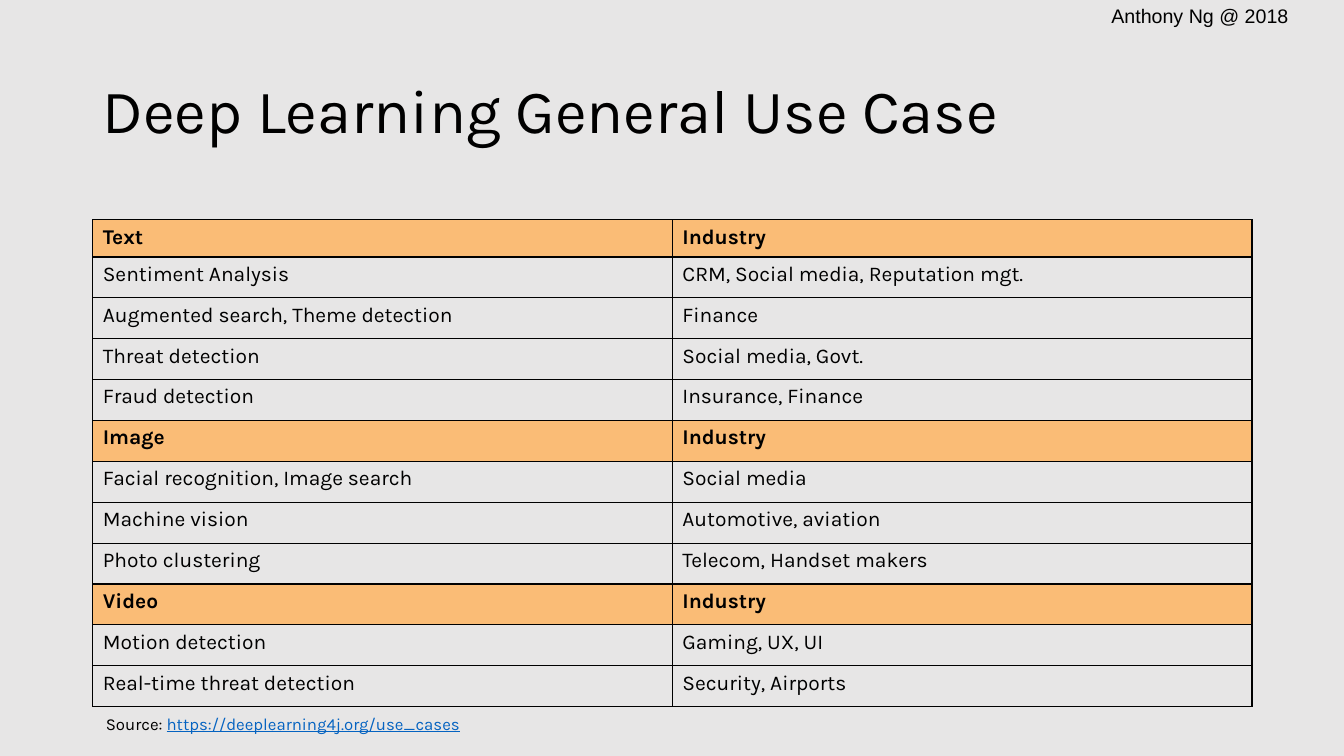
import dataclasses
import typing

import lxml.etree
import pptx
import pptx.dml.color
import pptx.enum.text
import pptx.oxml.ns
import pptx.util

Pt = pptx.util.Pt
RGB = pptx.dml.color.RGBColor
Anchor = pptx.enum.text.MSO_ANCHOR
Align = pptx.enum.text.PP_ALIGN
AutoSize = pptx.enum.text.MSO_AUTO_SIZE


@dataclasses.dataclass(frozen=True)
class Theme:
    background: str = "E7E6E6"
    header: str = "FABC76"
    text: str = "000000"
    link: str = "0563C1"
    font: str = "Karla"
    credit_font: str = "Arial"
    title_size: float = 44
    credit_size: float = 14
    cell_size: float = 15
    source_size: float = 12
    border: float = 1


@dataclasses.dataclass(frozen=True)
class Run:
    text: str
    size: float
    font: str
    color: str
    style: dict[str, bool] = dataclasses.field(default_factory=dict)


@dataclasses.dataclass(frozen=True)
class TextBox:
    left: float
    top: float
    width: float
    height: float
    runs: tuple[Run, ...]
    frame: dict[str, typing.Any] = dataclasses.field(default_factory=dict)
    paragraph: dict[str, typing.Any] = dataclasses.field(default_factory=dict)


@dataclasses.dataclass(frozen=True)
class Section:
    name: str
    uses: tuple[tuple[str, str], ...]


THEME = Theme()
LEFT, WIDTH = 66.24, 828
TABLE_TOP, HEADER_HEIGHT, ROW_HEIGHT = 156.96, 26.64, 29.2

BOXES = (
    TextBox(
        786.24, -0.72, 141.84, 24.48,
        (Run("Anthony Ng @ 2018", THEME.credit_size, THEME.credit_font, THEME.text),),
        {"word_wrap": False, "auto_size": AutoSize.SHAPE_TO_FIT_TEXT},
        {"alignment": Align.CENTER},
    ),
    TextBox(
        LEFT, 28.8, WIDTH, 104.4,
        (Run("Deep Learning General Use Case", THEME.title_size, THEME.font, THEME.text),),
        {"vertical_anchor": Anchor.MIDDLE},
        {"line_spacing": 0.9},
    ),
    TextBox(
        LEFT, 504.72, 303.84, 26.64,
        (
            Run("Source: ", THEME.source_size, THEME.font, THEME.text),
            Run("https://deeplearning4j.org/use_cases", THEME.source_size,
                THEME.font, THEME.link, {"underline": True}),
        ),
        {"margin_left": Pt(9.36), "margin_right": Pt(9.36),
         "margin_top": Pt(5.04), "margin_bottom": Pt(5.04)},
    ),
)

SECTIONS = (
    Section("Text", (
        ("Sentiment Analysis", "CRM, Social media, Reputation mgt."),
        ("Augmented search, Theme detection", "Finance"),
        ("Threat detection", "Social media, Govt."),
        ("Fraud detection", "Insurance, Finance"),
    )),
    Section("Image", (
        ("Facial recognition, Image search", "Social media"),
        ("Machine vision", "Automotive, aviation"),
        ("Photo clustering", "Telecom, Handset makers"),
    )),
    Section("Video", (
        ("Motion detection", "Gaming, UX, UI"),
        ("Real-time threat detection", "Security, Airports"),
    )),
)


def apply(target: typing.Any, values: dict[str, typing.Any]) -> None:
    for name, value in values.items():
        setattr(target, name, value)


def add_run(p: typing.Any, run: Run) -> None:
    r = p.add_run()
    r.text = run.text
    apply(r.font, {"size": Pt(run.size), "name": run.font, **run.style})
    r.font.color.rgb = RGB.from_string(run.color)


def add_text(s: typing.Any, box: TextBox) -> None:
    sp = s.shapes.add_textbox(*map(Pt, (box.left, box.top, box.width, box.height)))
    tf = sp.text_frame
    apply(tf, {"word_wrap": True, "auto_size": AutoSize.NONE, **box.frame})
    p = tf.paragraphs[0]
    apply(p, box.paragraph)
    for run in box.runs:
        add_run(p, run)


def add_borders(cell: typing.Any) -> None:
    qn = pptx.oxml.ns.qn
    tc_pr = cell._tc.get_or_add_tcPr()
    for i, side in enumerate(("lnL", "lnR", "lnT", "lnB")):
        ln = lxml.etree.Element(qn(f"a:{side}"), w=str(Pt(THEME.border)))
        fill = lxml.etree.SubElement(ln, qn("a:solidFill"))
        lxml.etree.SubElement(fill, qn("a:srgbClr"), val=THEME.text)
        tc_pr.insert(i, ln)


def fill_cell(cell: typing.Any, text: str, header: bool) -> None:
    if header:
        cell.fill.solid()
        cell.fill.fore_color.rgb = RGB.from_string(THEME.header)
    else:
        cell.fill.background()
    add_borders(cell)
    run = Run(text, THEME.cell_size, THEME.font, THEME.text, {"bold": header})
    add_run(cell.text_frame.paragraphs[0], run)


def add_use_cases(s: typing.Any, sections: tuple[Section, ...]) -> None:
    rows = [
        (texts, i == 0)
        for section in sections
        for i, texts in enumerate(((section.name, "Industry"), *section.uses))
    ]
    height = HEADER_HEIGHT + ROW_HEIGHT * (len(rows) - 1)
    frame = s.shapes.add_table(len(rows), 2, *map(Pt, (LEFT, TABLE_TOP, WIDTH, height)))
    table = frame.table
    apply(table, {"first_row": False, "horz_banding": False})
    for i, (texts, header) in enumerate(rows):
        table.rows[i].height = Pt(ROW_HEIGHT if i else HEADER_HEIGHT)
        for j, text in enumerate(texts):
            fill_cell(table.cell(i, j), text, header)


def main() -> None:
    prs = pptx.Presentation()
    apply(prs, {"slide_width": Pt(960), "slide_height": Pt(540)})
    s = prs.slides.add_slide(prs.slide_layouts[6])
    s.background.fill.solid()
    s.background.fill.fore_color.rgb = RGB.from_string(THEME.background)
    for box in BOXES:
        add_text(s, box)
    add_use_cases(s, SECTIONS)
    prs.save("out.pptx")


if __name__ == "__main__":
    main()
